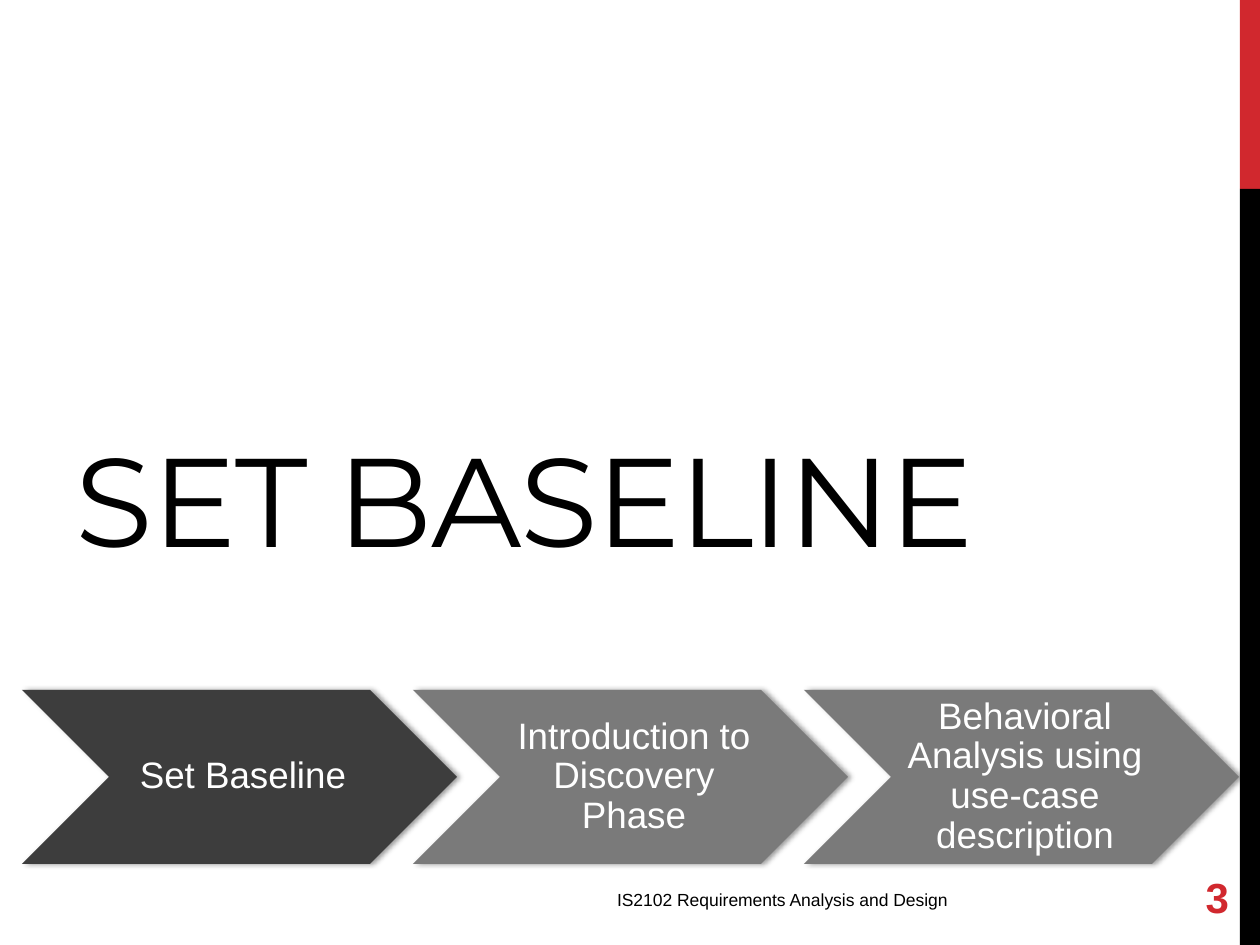
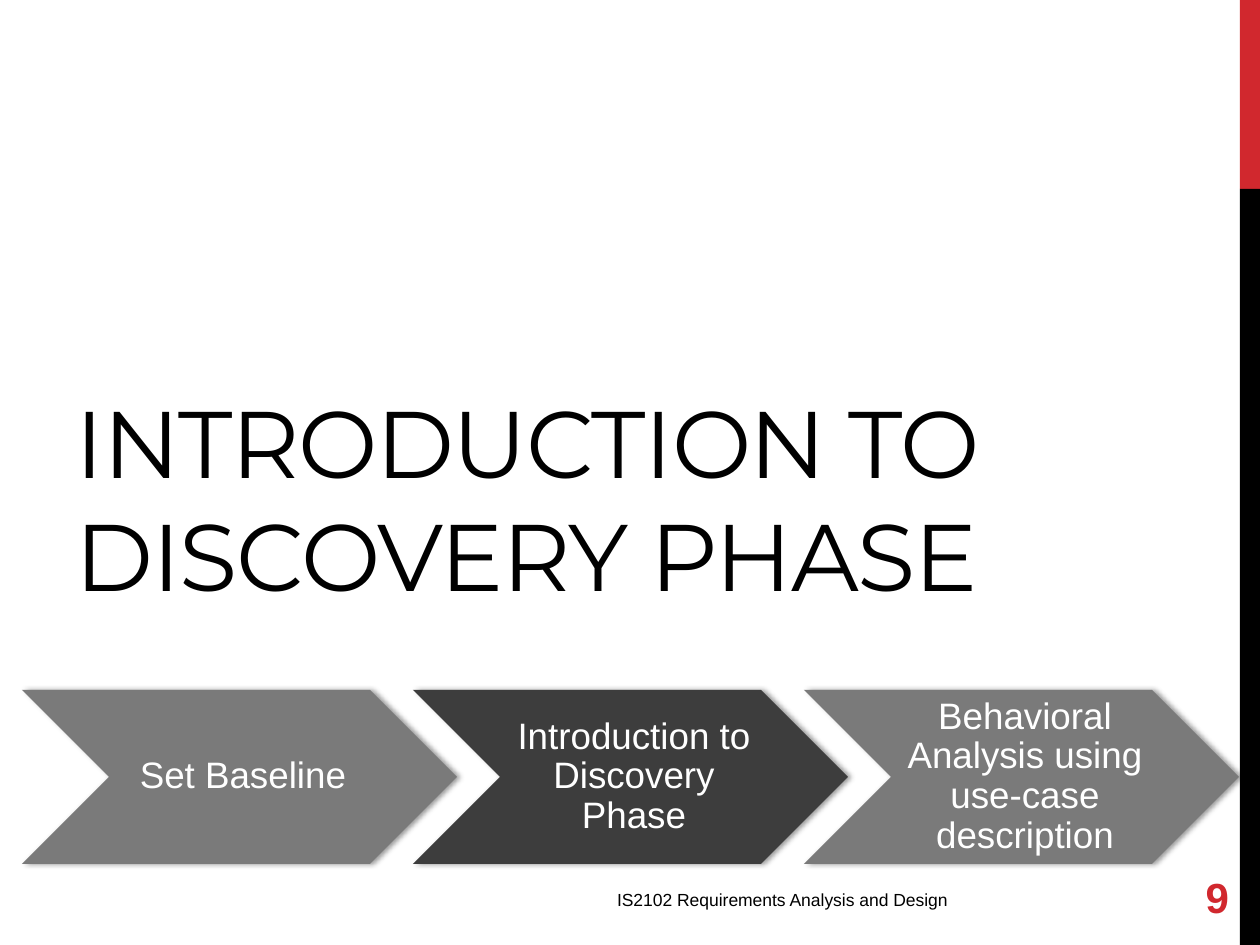
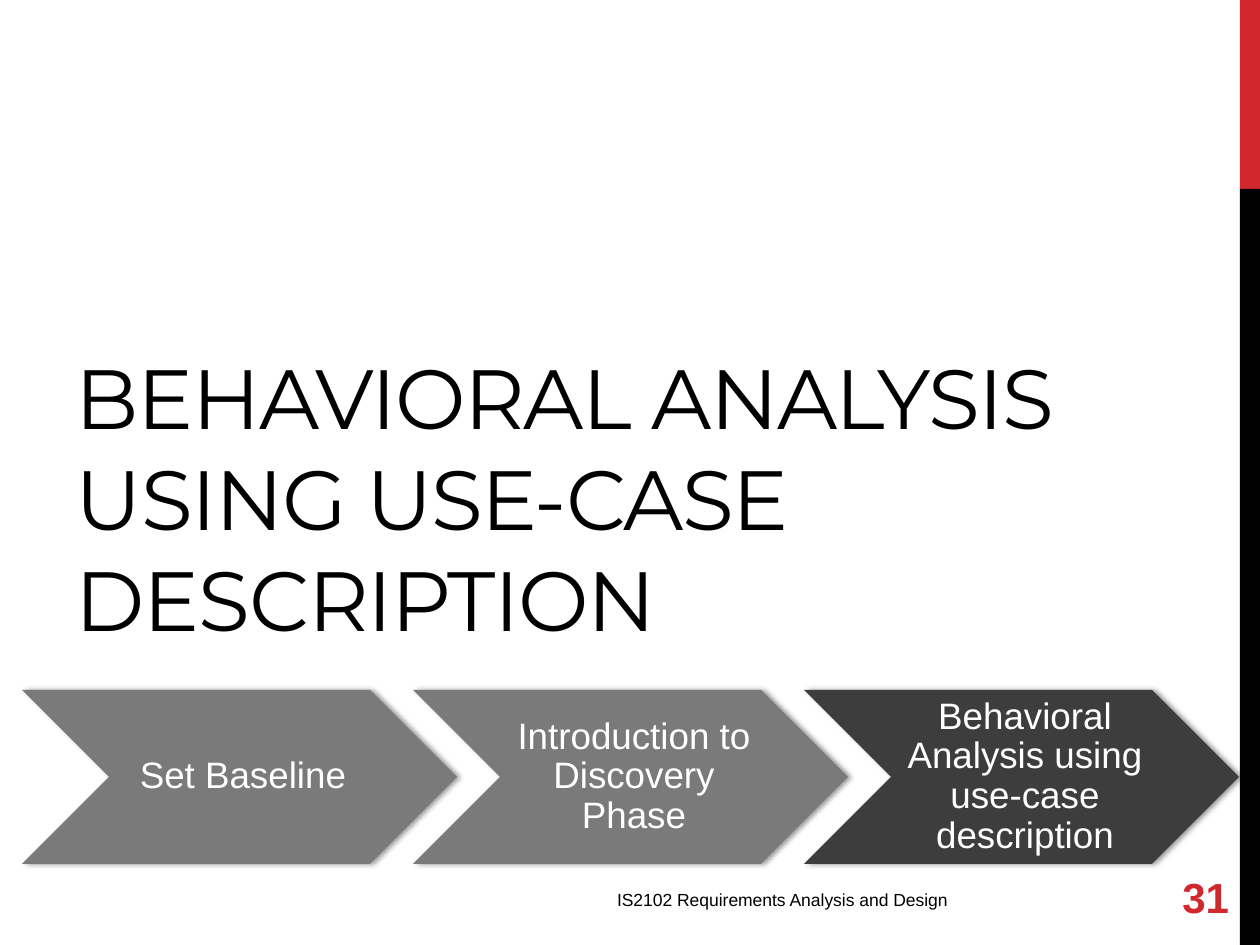
"""Build three section slides that share a side band, a step chain and a footer."""
import pptx
import pptx.dml.color
import pptx.enum.shapes
import pptx.enum.text
import pptx.oxml
import pptx.oxml.ns
import pptx.util

PX = 914400 // 126
WIDTH, HEIGHT = 1260, 945
RED, BLACK, WHITE = "D1282E", "000000", "FFFFFF"
ACTIVE, INACTIVE = "3D3D3D", "7A7A7A"

STEPS = [
    "Set Baseline",
    "Introduction to Discovery Phase",
    "Behavioral Analysis using use-case description",
]
SECTIONS = [
    {"number": "3", "title_size": 72},
    {"number": "9", "title_size": 54},
    {"number": "31", "title_size": 48},
]
FOOTER = "IS2102 Requirements Analysis and Design"

BANDS = [((1240, 0, 20, 189), RED), ((1240, 189, 20, 756), BLACK)]
TITLE_BOX = (63, 199, 1071, 596)
NUMBER_BOX = (1061, 872, 181, 50)
FOOTER_BOX = (604, 883, 436, 50)
CHAIN_LEFT, CHAIN_TOP, CHAIN_STEP = 22, 690, 391
CHEVRON_WIDTH, CHEVRON_HEIGHT = 435, 174
DEFAULT_INSETS = (13, 6, 13, 6)

SHADOW = (
    '<a:outerShdw %s blurRad="40000" dist="23000" dir="0" rotWithShape="0">'
    '<a:srgbClr val="000000"><a:alpha val="40000"/></a:srgbClr></a:outerShdw>'
    % pptx.oxml.ns.nsdecls("a")
)
ALIGN = pptx.enum.text.PP_ALIGN
ANCHOR = pptx.enum.text.MSO_ANCHOR
SHAPE = pptx.enum.shapes.MSO_SHAPE


def emu(values):
    return [pptx.util.Emu(value * PX) for value in values]


def color(value):
    return pptx.dml.color.RGBColor.from_string(value)


def write(shape, text, size, font="Arial", fill=BLACK, bold=False, align=ALIGN.LEFT,
          anchor=ANCHOR.MIDDLE, insets=DEFAULT_INSETS, line_spacing=1.0, tracking=None):
    frame = shape.text_frame
    frame.word_wrap = True
    frame.auto_size = pptx.enum.text.MSO_AUTO_SIZE.NONE
    frame.vertical_anchor = anchor
    frame.margin_left, frame.margin_top, frame.margin_right, frame.margin_bottom = emu(insets)
    paragraph = frame.paragraphs[0]
    paragraph.alignment = align
    paragraph.line_spacing = line_spacing
    run = paragraph.add_run()
    run.text = text
    run.font.name = font
    run.font.size = pptx.util.Pt(size)
    run.font.bold = bold
    run.font.color.rgb = color(fill)
    if tracking is not None:
        for properties in shape.element.iter(pptx.oxml.ns.qn("a:rPr")):
            properties.set("spc", str(tracking))


def add_filled(slide, kind, box, fill):
    shape = slide.shapes.add_shape(kind, *emu(box))
    shape.shadow.inherit = False
    shape.fill.solid()
    shape.fill.fore_color.rgb = color(fill)
    shape.line.fill.background()
    return shape


def add_bands(slide, layout):
    for box, fill in BANDS:
        band = add_filled(slide, SHAPE.RECTANGLE, box, fill)
        layout.placeholders[0].element.addprevious(band.element)


def add_chain(slide, active):
    for index, step in enumerate(STEPS):
        box = (CHAIN_LEFT + index * CHAIN_STEP, CHAIN_TOP, CHEVRON_WIDTH, CHEVRON_HEIGHT)
        chevron = add_filled(slide, SHAPE.CHEVRON, box, ACTIVE if index == active else INACTIVE)
        effects = chevron.element.spPr.find(pptx.oxml.ns.qn("a:effectLst"))
        effects.append(pptx.oxml.parse_xml(SHADOW))
        write(chevron, step, 21, fill=WHITE, align=ALIGN.CENTER,
              insets=(11, 4, 4, 4), line_spacing=0.9)


def add_section(presentation, layout, index, section):
    slide = presentation.slides.add_slide(layout)
    title = slide.shapes.title
    title.left, title.top, title.width, title.height = emu(TITLE_BOX)
    write(title, STEPS[index].upper(), section["title_size"], font="Montserrat", tracking=-80)
    number = slide.shapes.add_textbox(*emu(NUMBER_BOX))
    write(number, section["number"], 24, fill=RED, bold=True, align=ALIGN.RIGHT)
    footer = slide.shapes.add_textbox(*emu(FOOTER_BOX))
    write(footer, FOOTER, 10, anchor=ANCHOR.TOP)
    add_chain(slide, index)
    return slide


def main():
    presentation = pptx.Presentation()
    presentation.slide_width, presentation.slide_height = emu((WIDTH, HEIGHT))
    layout = presentation.slide_layouts[5]
    slides = [add_section(presentation, layout, index, section)
              for index, section in enumerate(SECTIONS)]
    add_bands(slides[0], layout)
    presentation.save("out.pptx")


if __name__ == "__main__":
    main()
